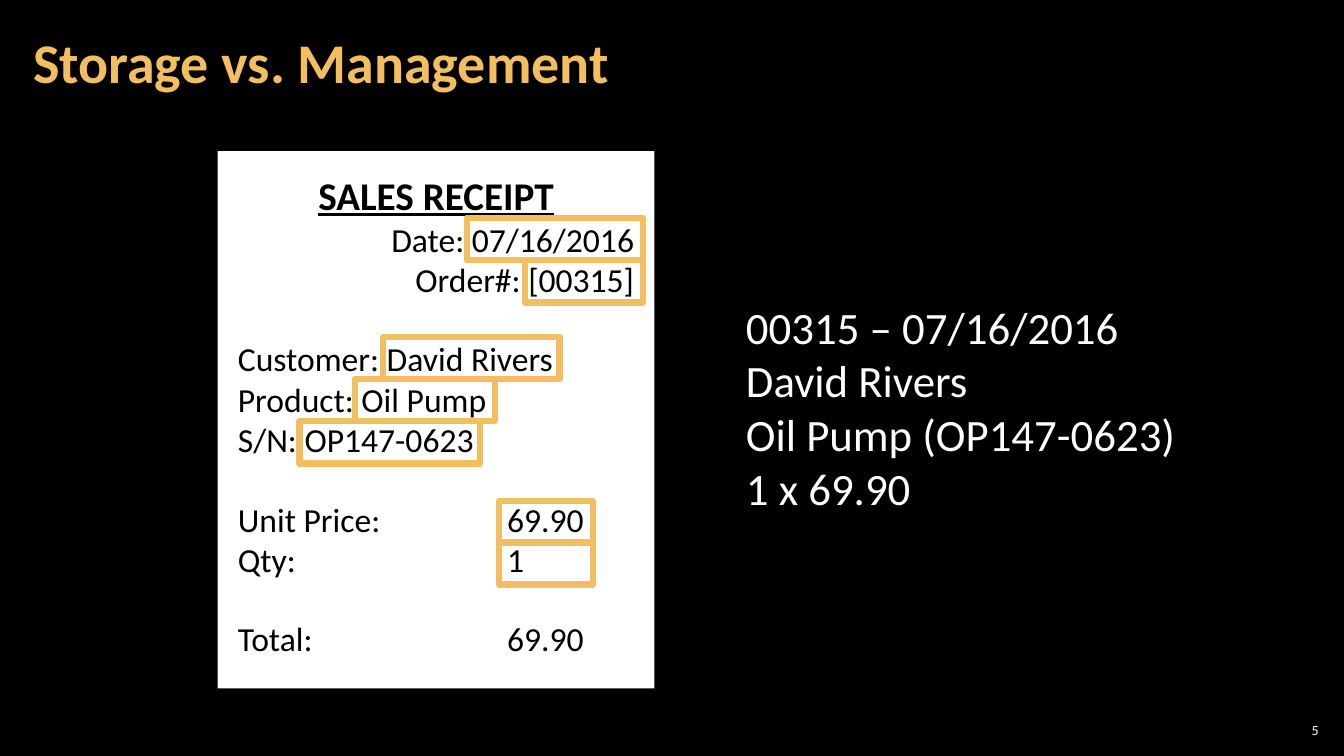
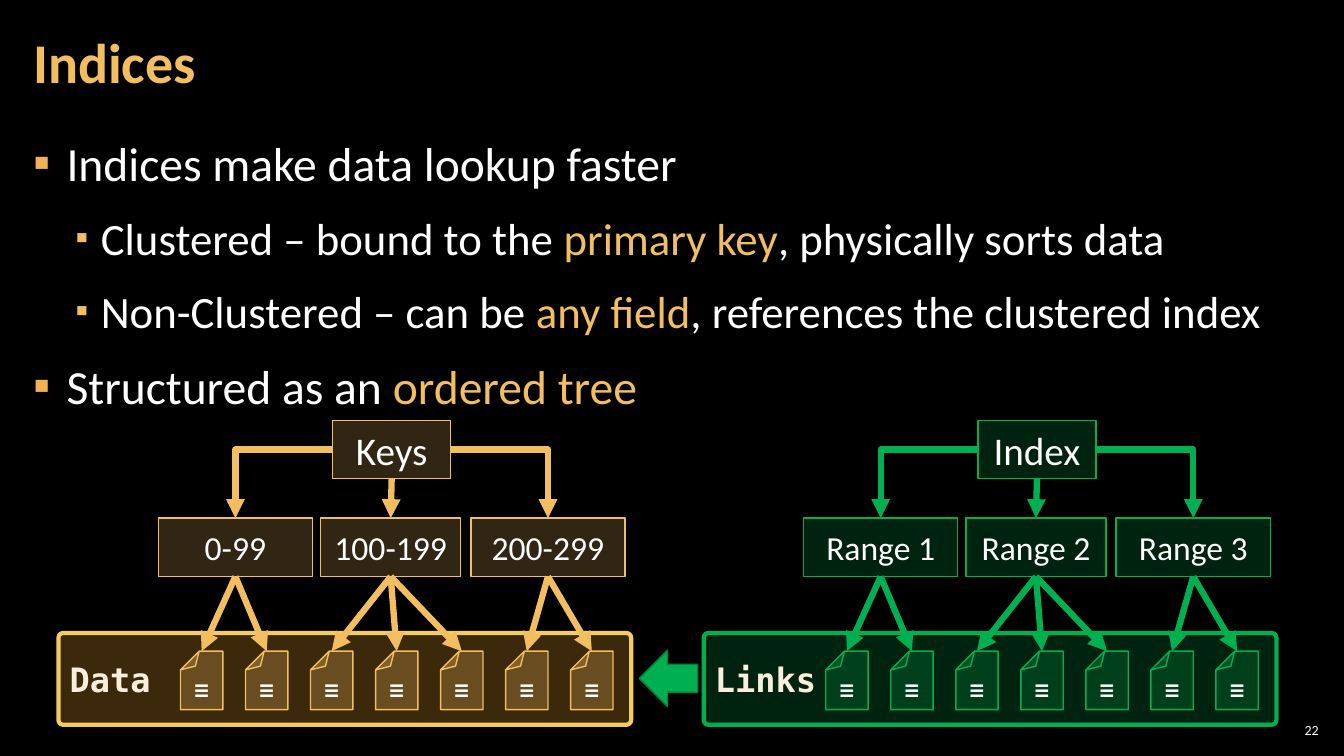
from dataclasses import dataclass

from lxml import etree
from pptx import Presentation
from pptx.dml.color import RGBColor
from pptx.enum import shapes, text
from pptx.oxml.ns import qn
from pptx.util import Inches, Pt

PRESET = shapes.MSO_SHAPE
ALIGN = text.PP_ALIGN
ANCHOR = text.MSO_ANCHOR


@dataclass(frozen=True)
class Theme:
    background: str = "000000"
    paper: str = "FFFFFF"
    ink: str = "000000"
    body: str = "FFFFFF"
    accent: str = "F3BE60"
    bullet: str = "F2B254"
    panel_label: str = "FBEEDC"
    arrow_edge: str = "00843C"
    font: str = "Calibri"
    mono: str = "DejaVu Sans Mono"
    title_size: int = 40
    bullet_sizes: tuple = (34, 32)
    note_size: int = 32
    heading_size: int = 28
    label_size: int = 24
    glyph_size: int = 18
    number_size: int = 10
    highlight: float = 4.5


@dataclass(frozen=True)
class Tone:
    """Colours and opacities (percent) of one index tree."""
    main: str
    panel_fill: str
    panel_line: str
    node_alpha: int
    store_alpha: int


THEME = Theme()
GOLD = Tone("F3BE60", "F0A22E", "F3CD60", 20, 25)
GREEN = Tone("00B050", "00B050", "00B050", 20, 20)

TREE_PITCH = 6.4
LEAF_TOP, NODE_HEIGHT = 5.14, 0.58
LEAF_SPANS = ((1.57, 1.53), (3.18, 1.39), (4.67, 1.53))
FILES_PER_LEAF = (2, 3, 2)
FILE_LEFT, FILE_TOP, FILE_WIDTH = 1.79, 6.46, 0.42
FILE_PITCH = 3.87 / 6


def rgb(colour):
    return RGBColor.from_string(colour)


def style_font(font, size, colour, face=THEME.font, bold=False):
    font.size, font.bold, font.name = Pt(size), bold, face
    font.color.rgb = rgb(colour)


def set_insets(frame, horizontal, vertical):
    frame.margin_left = frame.margin_right = Inches(horizontal)
    frame.margin_top = frame.margin_bottom = Inches(vertical)


def add_paragraph(frame, first, content="", align=ALIGN.LEFT):
    paragraph = frame.paragraphs[0] if first else frame.add_paragraph()
    paragraph.text = content
    paragraph.alignment = align
    return paragraph


def add_text(slide, box, lines, size, colour=THEME.body, face=THEME.font,
             bold=False, align=ALIGN.LEFT, anchor=ANCHOR.TOP, insets=(0.1, 0.05)):
    frame = slide.shapes.add_textbox(*map(Inches, box)).text_frame
    frame.word_wrap = True
    frame.vertical_anchor = anchor
    set_insets(frame, *insets)
    for position, line in enumerate(lines):
        paragraph = add_paragraph(frame, position == 0, line, align)
        style_font(paragraph.font, size, colour, face, bold)
    return frame


def add_box(slide, box, preset=PRESET.RECTANGLE, fill=None, alpha=100,
            line=None, width=1.0):
    shape = slide.shapes.add_shape(preset, *map(Inches, box))
    shape.shadow.inherit = False
    if fill:
        shape.fill.solid()
        shape.fill.fore_color.rgb = rgb(fill)
        if alpha < 100:
            colour = shape._element.spPr.find(qn("a:solidFill")).find(qn("a:srgbClr"))
            etree.SubElement(colour, qn("a:alpha"), val=str(alpha * 1000))
    else:
        shape.fill.background()
    if line:
        shape.line.color.rgb = rgb(line)
        shape.line.width = Pt(width)
    else:
        shape.line.fill.background()
    return shape


def label(shape, content, size, colour=THEME.body, face=THEME.font,
          bold=False, align=ALIGN.CENTER):
    paragraph = add_paragraph(shape.text_frame, True, content, align)
    style_font(paragraph.font, size, colour, face, bold)


def add_arrow(slide, parent, side, colour, child=None, end=(0, 0), bent=False):
    """Arrow from a side of parent to the top of child, or to a point."""
    kind = shapes.MSO_CONNECTOR.ELBOW if bent else shapes.MSO_CONNECTOR.STRAIGHT
    arrow = slide.shapes.add_connector(kind, 0, 0, *map(Inches, end))
    arrow.begin_connect(parent, side)
    if child is not None:
        arrow.end_connect(child, 0)
    properties = arrow._element.spPr
    if bent:
        properties.find(qn("a:prstGeom")).set("prst", "bentConnector2")
    arrow.line.color.rgb = rgb(colour)
    arrow.line.width = Pt(THEME.highlight)
    etree.SubElement(properties.find(qn("a:ln")), qn("a:tailEnd"), type="triangle")
    etree.SubElement(properties, qn("a:effectLst"))


def add_slide(deck, title, number):
    slide = deck.slides.add_slide(deck.slide_layouts[6])
    slide.background.fill.solid()
    slide.background.fill.fore_color.rgb = rgb(THEME.background)
    add_text(slide, (12.65, 7.14, 0.47, 0.21), [str(number)], THEME.number_size,
             align=ALIGN.RIGHT, anchor=ANCHOR.MIDDLE, insets=(0.04, 0.04))
    heading = add_text(slide, (0.21, 0.04, 10.47, 1.21), [title],
                       THEME.title_size, THEME.accent, bold=True,
                       anchor=ANCHOR.MIDDLE, insets=(0.12, 0.04))
    heading.paragraphs[0].line_spacing = 0.9
    return slide


def add_receipt(slide):
    receipt = add_box(slide, (2.16, 1.5, 4.33, 5.33), fill=THEME.paper)
    frame = receipt.text_frame
    frame.vertical_anchor = ANCHOR.TOP
    set_insets(frame, 0.2, 0.2)
    label(receipt, "SALES RECEIPT", THEME.heading_size, THEME.ink, bold=True)
    frame.paragraphs[0].font.underline = True
    sections = (
        (ALIGN.RIGHT, ("Date: 07/16/2016", "Order#: [00315]")),
        (ALIGN.LEFT, ("Customer: David Rivers", "Product: Oil Pump",
                      "S/N: OP147-0623")),
        (ALIGN.LEFT, ("Unit Price:\t69.90", "Qty:\t1")),
        (ALIGN.LEFT, ("Total:\t69.90",)),
    )
    for section, (align, lines) in enumerate(sections):
        for row, line in enumerate(lines):
            paragraph = add_paragraph(frame, False, line, align)
            if section and row == 0:
                paragraph.space_before = Pt(28)
            if "\t" in line:
                stops = etree.SubElement(paragraph._p.get_or_add_pPr(), qn("a:tabLst"))
                etree.SubElement(stops, qn("a:tab"), pos=str(Inches(2.67)), algn="l")
            style_font(paragraph.font, THEME.label_size, THEME.ink)


def add_highlights(slide):
    spans = ((4.63, 2.16, 1.75), (5.21, 2.58, 1.17), (3.8, 3.34, 1.75),
             (3.52, 3.76, 1.39), (2.97, 4.18, 1.79), (4.95, 4.97, 0.93),
             (4.95, 5.38, 0.93))
    for left, top, width in spans:
        add_box(slide, (left, top, width, 0.42), line=THEME.accent,
                width=THEME.highlight)


def add_bullets(slide, items):
    """Items are (level, pieces); every second piece is accented."""
    frame = add_text(slide, (0.21, 1.26, 12.91, 2.9), [], THEME.note_size,
                     insets=(0.12, 0.04))
    indents = ((0.33, -0.33), (0.67, -0.25))
    marks = ((THEME.bullet, 100), (THEME.accent, 80))
    for position, (level, pieces) in enumerate(items):
        paragraph = add_paragraph(frame, position == 0)
        paragraph.level = level
        paragraph.line_spacing = 1.05
        paragraph.space_before = paragraph.space_after = Pt(6)
        properties = paragraph._p.get_or_add_pPr()
        for name, indent in zip(("marL", "indent"), indents[level]):
            properties.set(name, str(Inches(indent)))
        colour, percent = marks[level]
        mark_colour = etree.SubElement(properties, qn("a:buClr"))
        etree.SubElement(mark_colour, qn("a:srgbClr"), val=colour)
        etree.SubElement(properties, qn("a:buSzPct"), val=str(percent * 1000))
        etree.SubElement(properties, qn("a:buFont"), typeface=THEME.font)
        etree.SubElement(properties, qn("a:buChar"), char="▪")
        style_font(paragraph.font, THEME.bullet_sizes[level], THEME.body)
        for index, piece in enumerate(pieces):
            run = paragraph.add_run()
            run.text = piece
            if index % 2:
                run.font.color.rgb = rgb(THEME.accent)


def add_file(slide, left, tone):
    page = add_box(slide, (left, FILE_TOP, FILE_WIDTH, NODE_HEIGHT),
                   PRESET.FOLDED_CORNER, tone.main, tone.store_alpha, tone.main)
    geometry = page._element.spPr.find(qn("a:prstGeom"))
    etree.SubElement(geometry.find(qn("a:avLst")), qn("a:gd"),
                     name="adj", fmla="val 44000")
    page.rotation = 180
    glyph_width = 0.67
    add_text(slide, (left + (FILE_WIDTH - glyph_width) / 2, 6.62, glyph_width, 0.4),
             ["☰"], THEME.glyph_size, face=THEME.mono, bold=True,
             align=ALIGN.CENTER)


def add_store(slide, offset, name, tone):
    """Panel with its files; returns the centre of each file."""
    panel = add_box(slide, (0.58 + offset, 6.28, 5.68, 0.91),
                    PRESET.ROUNDED_RECTANGLE, tone.panel_fill, tone.store_alpha,
                    tone.panel_line, 3)
    panel.adjustments[0] = 0.05
    label(panel, name, THEME.label_size, THEME.panel_label, THEME.mono, True,
          ALIGN.LEFT)
    lefts = [FILE_LEFT + offset + i * FILE_PITCH for i in range(sum(FILES_PER_LEAF))]
    for left in lefts:
        add_file(slide, left, tone)
    return [left + FILE_WIDTH / 2 for left in lefts]


def add_node(slide, left, top, width, name, size, tone):
    node = add_box(slide, (left, top, width, NODE_HEIGHT), fill=tone.main,
                   alpha=tone.node_alpha, line=tone.main)
    label(node, name, size)
    return node


def add_tree(slide, offset, root_name, leaf_names, store_name, tone):
    root = add_node(slide, 3.3 + offset, 4.17, 1.17, root_name,
                    THEME.heading_size, tone)
    file_centres = iter(add_store(slide, offset, store_name, tone))
    leaves = [add_node(slide, left + offset, LEAF_TOP, width, name,
                       THEME.label_size, tone)
              for (left, width), name in zip(LEAF_SPANS, leaf_names)]
    for leaf, side in zip(leaves, (1, 2, 3)):
        add_arrow(slide, root, side, tone.main, child=leaf, bent=side != 2)
    for leaf, count in zip(leaves, FILES_PER_LEAF):
        for _ in range(count):
            add_arrow(slide, leaf, 2, tone.main, end=(next(file_centres), FILE_TOP))


def build_storage_slide(deck):
    slide = add_slide(deck, "Storage vs. Management", 5)
    add_receipt(slide)
    add_highlights(slide)
    add_text(slide, (7.3, 2.92, 4.92, 2.26),
             ["00315 – 07/16/2016", "David Rivers", "Oil Pump (OP147-0623)",
              "1 x 69.90"], THEME.note_size)


def build_indices_slide(deck):
    slide = add_slide(deck, "Indices", 22)
    add_bullets(slide, (
        (0, ("Indices make data lookup faster",)),
        (1, ("Clustered – bound to the ", "primary key", ", physically sorts data")),
        (1, ("Non-Clustered – can be ", "any field",
             ", references the clustered index")),
        (0, ("Structured as an ", "ordered tree")),
    ))
    add_tree(slide, 0, "Keys", ("0-99", "100-199", "200-299"), "Data", GOLD)
    add_tree(slide, TREE_PITCH, "Index", ("Range 1", "Range 2", "Range 3"),
             "Links", GREEN)
    add_box(slide, (6.34, 6.45, 0.58, 0.56), PRESET.LEFT_ARROW, GREEN.main,
            line=THEME.arrow_edge)


def main():
    deck = Presentation()
    deck.slide_width, deck.slide_height = Inches(13.33), Inches(7.5)
    build_storage_slide(deck)
    build_indices_slide(deck)
    deck.save("out.pptx")


if __name__ == "__main__":
    main()
